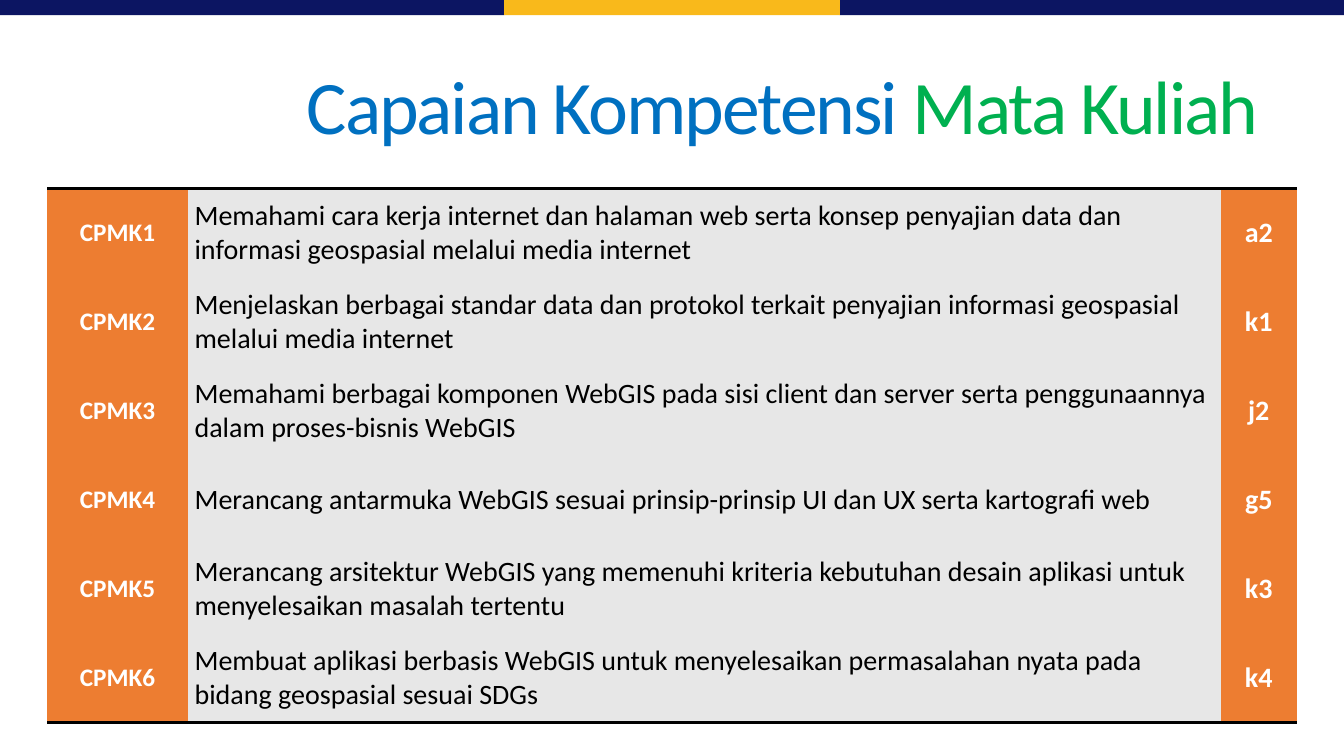
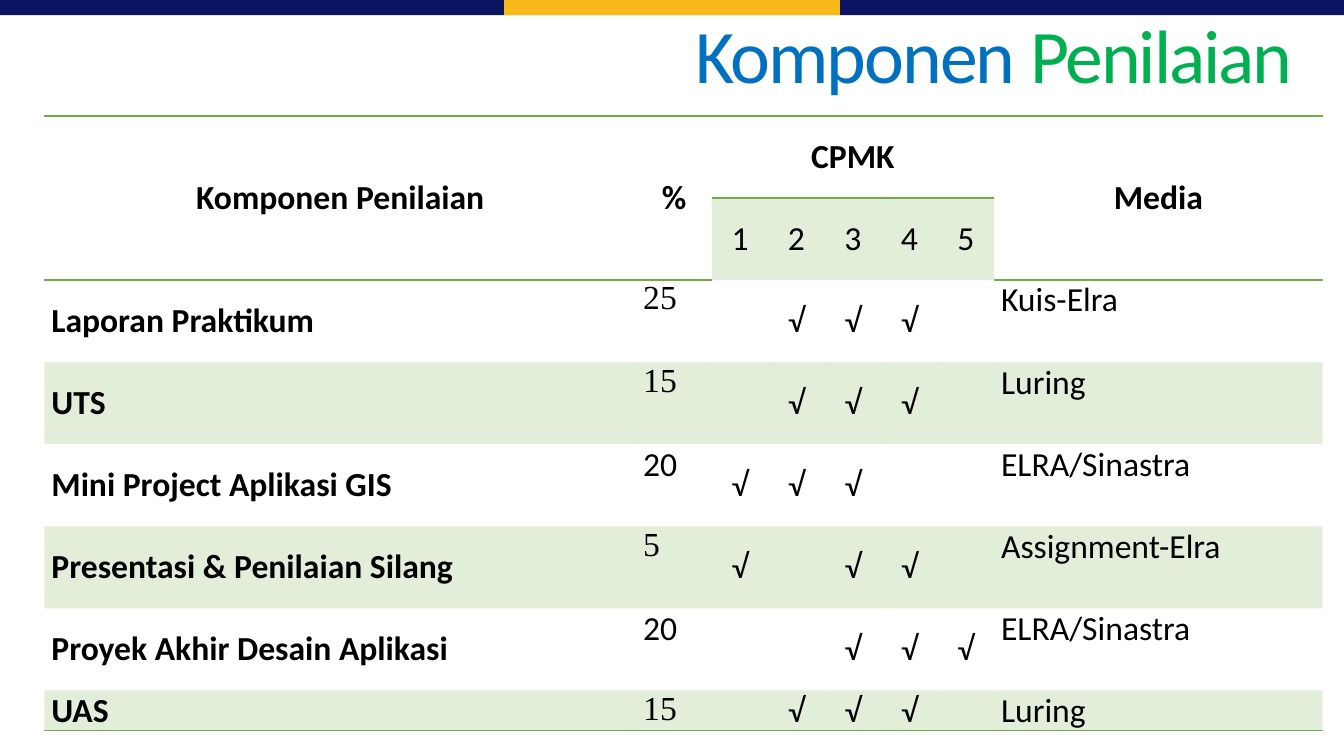
"""Build two course slides: competency outcomes and assessment components."""
import pptx
import pptx.dml.color
import pptx.enum.shapes
import pptx.enum.text
import pptx.oxml
import pptx.oxml.ns
import pptx.util
from lxml import etree

RGBColor = pptx.dml.color.RGBColor
Inches = pptx.util.Inches
Pt = pptx.util.Pt
ALIGN = pptx.enum.text.PP_ALIGN
ANCHOR = pptx.enum.text.MSO_ANCHOR
qn = pptx.oxml.ns.qn

NAVY = RGBColor(0x0C, 0x15, 0x62)
GOLD = RGBColor(0xF9, 0xB9, 0x1B)
BLUE = RGBColor(0x00, 0x70, 0xC0)
GREEN = RGBColor(0x00, 0xB0, 0x50)
ORANGE = RGBColor(0xED, 0x7D, 0x31)
GREY = RGBColor(0xE7, 0xE7, 0xE7)
LEAF = RGBColor(0x70, 0xAD, 0x47)
BLACK = RGBColor(0x00, 0x00, 0x00)
WHITE = RGBColor(0xFF, 0xFF, 0xFF)

NO_STYLE = "{2D5ABB26-0587-4C30-8999-92F81FD0307C}"
SANS, SERIF = "Calibri", "Times New Roman"
MARGINS = {"margin_left": Inches(0.07), "margin_right": Inches(0.07),
           "margin_top": 0, "margin_bottom": 0}
NO_MARGINS = dict.fromkeys(MARGINS, 0)

OUTCOMES = [
    ("Memahami cara kerja internet dan halaman web serta konsep penyajian data "
     "dan informasi geospasial melalui media internet", "a2"),
    ("Menjelaskan berbagai standar data dan protokol terkait penyajian "
     "informasi geospasial melalui media internet", "k1"),
    ("Memahami berbagai komponen WebGIS pada sisi client dan server serta "
     "penggunaannya dalam proses-bisnis WebGIS", "j2"),
    ("Merancang antarmuka WebGIS sesuai prinsip-prinsip UI dan UX serta "
     "kartografi web", "g5"),
    ("Merancang arsitektur WebGIS yang memenuhi kriteria kebutuhan desain "
     "aplikasi untuk menyelesaikan masalah tertentu", "k3"),
    ("Membuat aplikasi berbasis WebGIS untuk menyelesaikan permasalahan nyata "
     "pada bidang geospasial sesuai SDGs", "k4"),
]

ASSESSMENTS = [
    ("Laporan Praktikum", "25", SERIF, (2, 3, 4), "Kuis-Elra"),
    ("UTS", "15", SERIF, (2, 3, 4), "Luring"),
    ("Mini Project Aplikasi GIS", "20", SANS, (1, 2, 3), "ELRA/Sinastra"),
    ("Presentasi & Penilaian Silang", "5", SERIF, (1, 3, 4), "Assignment-Elra"),
    ("Proyek Akhir Desain Aplikasi", "20", SANS, (3, 4, 5), "ELRA/Sinastra"),
    ("UAS", "15", SERIF, (2, 3, 4), "Luring"),
]


def set_all(obj, values):
    for name, value in values.items():
        setattr(obj, name, value)


class Deck:
    def __init__(self):
        self.prs = pptx.Presentation()
        set_all(self.prs, {"slide_width": Inches(13.33), "slide_height": Inches(7.5)})
        self.s = None

    def slide(self, title, x, y):
        self.s = self.prs.slides.add_slide(self.prs.slide_layouts[6])
        for left, width, color in ((0, 5, NAVY), (8.33, 5, NAVY), (5, 3.33, GOLD)):
            self.band(left, width, color)
        self.title(title, x, y)

    def band(self, x, w, color):
        sp = self.s.shapes.add_shape(pptx.enum.shapes.MSO_SHAPE.RECTANGLE,
                                     Inches(x), 0, Inches(w), Inches(0.15))
        sp.shadow.inherit = False
        sp.fill.solid()
        sp.fill.fore_color.rgb = color
        sp.line.fill.background()

    def title(self, parts, x, y):
        sp = self.s.shapes.add_textbox(Inches(x), Inches(y), Inches(10.12), Inches(0.47))
        tf = sp.text_frame
        set_all(tf, {"word_wrap": True, **NO_MARGINS})
        p = tf.paragraphs[0]
        set_all(p, {"alignment": ALIGN.RIGHT, "line_spacing": 0.9})
        for text, color in zip(parts, (BLUE, GREEN)):
            r = self.run(p, text, color, size=Pt(54))
            r.font._element.set("spc", "-150")

    def run(self, p, text, color, **font):
        r = p.add_run()
        r.text = text
        set_all(r.font, {"name": SANS, **font})
        r.font.color.rgb = color
        return r

    def table(self, x, y, cols, rows):
        frame = self.s.shapes.add_table(len(rows), len(cols), Inches(x), Inches(y),
                                        Inches(sum(cols)), Inches(sum(rows)))
        tbl = frame.table
        set_all(tbl, {"first_row": False, "horz_banding": False})
        tbl._tbl.tblPr.find(qn("a:tableStyleId")).text = NO_STYLE
        for col, width in zip(tbl.columns, cols):
            col.width = Inches(width)
        for row, height in zip(tbl.rows, rows):
            row.height = Inches(height)
        return tbl

    def cell(self, cell, text="", color=BLACK, fill=None, alpha=None,
             align=ALIGN.LEFT, anchor=ANCHOR.MIDDLE, **font):
        set_all(cell, {"vertical_anchor": anchor, **MARGINS})
        p = cell.text_frame.paragraphs[0]
        p.alignment = align
        if text:
            self.run(p, text, color, **font)
        if fill is None:
            cell.fill.background()
            return
        cell.fill.solid()
        cell.fill.fore_color.rgb = fill
        if alpha:
            clr = cell._tc.tcPr.find(qn("a:solidFill"))[0]
            etree.SubElement(clr, qn("a:alpha"), val=str(alpha * 1000))

    def border(self, cell, sides, color, width):
        tcPr = cell._tc.get_or_add_tcPr()
        for i, side in enumerate(sides):
            ln = etree.Element(qn("a:ln" + side), w=str(Pt(width)))
            fill = etree.SubElement(ln, qn("a:solidFill"))
            etree.SubElement(fill, qn("a:srgbClr"), val=str(color))
            tcPr.insert(i, ln)


def outcomes_slide(deck):
    deck.slide(("Capaian Kompetensi ", "Mata Kuliah"), 2.36, 0.69)
    tbl = deck.table(0.47, 1.87, (1.39, 10.25, 0.75), [5.3 / 6] * 6)
    tag = {"color": WHITE, "fill": ORANGE, "align": ALIGN.CENTER, "bold": True}
    for i, (outcome, code) in enumerate(OUTCOMES):
        deck.cell(tbl.cell(i, 0), f"CPMK{i + 1}", size=Pt(18), **tag)
        deck.cell(tbl.cell(i, 1), outcome, fill=GREY, size=Pt(20))
        deck.cell(tbl.cell(i, 2), code, size=Pt(20), **tag)
    for j in range(3):
        deck.border(tbl.cell(0, j), "T", BLACK, 2)
        deck.border(tbl.cell(5, j), "B", BLACK, 2)


def assessment_slide(deck):
    deck.slide(("Komponen ", "Penilaian"), 2.7, 0.18)
    tbl = deck.table(0.44, 1.15, [5.87, 0.75] + [0.56] * 5 + [3.26],
                     [5.7 / 7] * 7 + [0.4])
    size = {"size": Pt(24)}
    mid = {"align": ALIGN.CENTER, **size}
    tint = {"fill": LEAF, "alpha": 20}
    heads = {0: "Komponen Penilaian", 1: "%", 2: "CPMK", 7: "Media"}
    for j, head in heads.items():
        end = (0, 6) if j == 2 else (1, j)
        tbl.cell(0, j).merge(tbl.cell(*end))
        deck.cell(tbl.cell(0, j), head, bold=True, **mid)
    for n in range(1, 6):
        deck.cell(tbl.cell(1, n + 1), str(n), **mid, **tint)
    for i, (name, share, face, marks, media) in enumerate(ASSESSMENTS, 2):
        band = tint if i % 2 else {}
        top = {"anchor": ANCHOR.TOP, **size, **band}
        deck.cell(tbl.cell(i, 0), name, bold=True, **size, **band)
        deck.cell(tbl.cell(i, 1), share, name=face, **top)
        for n in range(1, 6):
            deck.cell(tbl.cell(i, n + 1), "√" if n in marks else "", **mid, **band)
        deck.cell(tbl.cell(i, 7), media, **top)
    for j in range(8):
        deck.border(tbl.cell(0, j), "TB", LEAF, 1)
        deck.border(tbl.cell(7, j), "B", LEAF, 1)
        if j in (0, 1, 7):
            deck.border(tbl.cell(1, j), "B", LEAF, 1)


def main():
    deck = Deck()
    outcomes_slide(deck)
    assessment_slide(deck)
    deck.prs.save("out.pptx")


if __name__ == "__main__":
    main()
